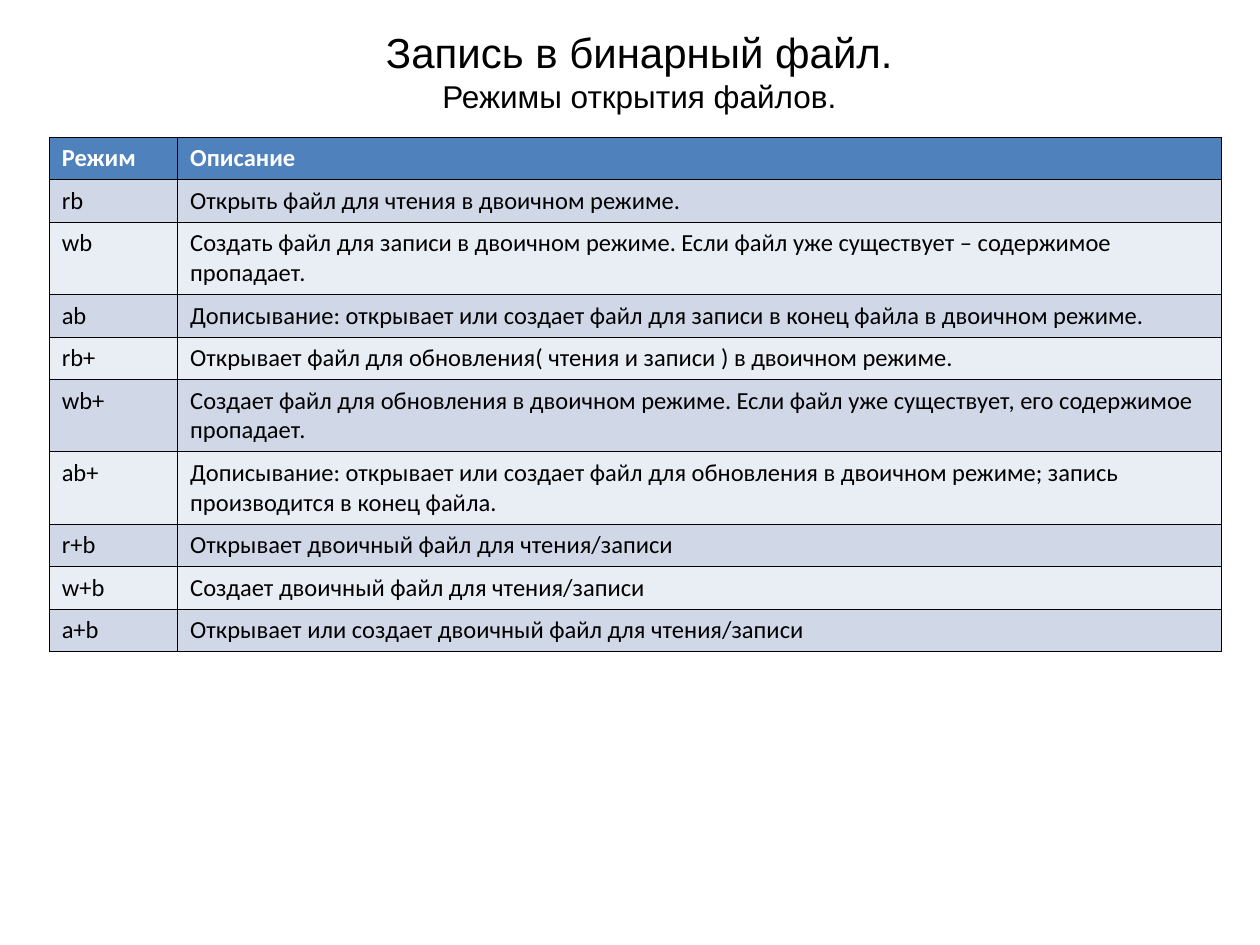
from lxml import etree
from pptx import Presentation
from pptx.dml.color import RGBColor
from pptx.enum import text
from pptx.oxml import parse_xml
from pptx.oxml.ns import nsdecls
from pptx.util import Inches, Pt

WIDE, HIGH = 10, 7.5
HUES = {"ink": "000000", "white": "FFFFFF", "head": "4F81BD",
        "odd": "D0D8E8", "even": "E9EDF4"}
COLS = [1.02, 8.28]
LINE, PAD = 0.235, 0.1
MODES = [
    ("Режим", "Описание", 1),
    ("rb", "Открыть файл для чтения в двоичном режиме.", 1),
    ("wb", "Создать файл для записи в двоичном режиме. "
           "Если файл уже существует – содержимое пропадает.", 2),
    ("ab", "Дописывание: открывает или создает файл для записи "
           "в конец файла в двоичном режиме.", 1),
    ("rb+", "Открывает файл для обновления( чтения и записи ) "
            "в двоичном режиме.", 1),
    ("wb+", "Создает файл для обновления в двоичном режиме. "
            "Если файл уже существует, его содержимое пропадает.", 2),
    ("ab+", "Дописывание: открывает или создает файл для обновления "
            "в двоичном режиме; запись производится в конец файла.", 2),
    ("r+b", "Открывает двоичный файл для чтения/записи", 1),
    ("w+b", "Создает двоичный файл для чтения/записи", 1),
    ("a+b", "Открывает или создает двоичный файл для чтения/записи", 1),
]


def color(name):
    return RGBColor.from_string(HUES[name])


def write(para, words, size=14, face="Calibri", hue="ink", bold=False,
          align=text.PP_ALIGN.LEFT):
    para.alignment = align
    run = para.add_run()
    run.text = words
    font = run.font
    font.size, font.name, font.bold = Pt(size), face, bold
    font.color.rgb = color(hue)


def title(slide):
    box = slide.shapes.title
    box.left, box.top = Inches(0.23), Inches(0.16)
    box.width, box.height = Inches(9.69), Inches(0.8)
    frame = box.text_frame
    frame.word_wrap = True
    frame.auto_size = text.MSO_AUTO_SIZE.NONE
    frame.vertical_anchor = text.MSO_ANCHOR.TOP
    style = {"face": "Arial", "align": text.PP_ALIGN.CENTER}
    write(frame.paragraphs[0], "Запись в бинарный файл.", size=24, **style)
    write(frame.add_paragraph(), "Режимы открытия файлов.", size=18, **style)


def border(cell):
    """Draw all four edges; must run before the cell's fill is set."""
    props = cell._tc.get_or_add_tcPr()
    for side in ("lnL", "lnR", "lnT", "lnB"):
        edge = parse_xml(f'<a:{side} {nsdecls("a")} w="{Pt(0.45)}"/>')
        fill = etree.SubElement(edge, edge.tag.replace(side, "solidFill"))
        etree.SubElement(fill, edge.tag.replace(side, "srgbClr"),
                         val=HUES["ink"])
        props.append(edge)


def table(slide):
    tall = [LINE * lines + PAD for _, _, lines in MODES]
    grid = slide.shapes.add_table(
        len(MODES), len(COLS), Inches(0.39), Inches(1.09),
        Inches(sum(COLS)), Inches(sum(tall))).table
    for col, width in zip(grid.columns, COLS):
        col.width = Inches(width)
    for r, (mode, about, _) in enumerate(MODES):
        grid.rows[r].height = Inches(tall[r])
        head = r == 0
        shade = "head" if head else "odd" if r % 2 else "even"
        for c, words in enumerate((mode, about)):
            cell = grid.cell(r, c)
            border(cell)
            cell.fill.solid()
            cell.fill.fore_color.rgb = color(shade)
            write(cell.text_frame.paragraphs[0], words, bold=head,
                  hue="white" if head else "ink")


def main():
    deck = Presentation()
    deck.slide_width, deck.slide_height = Inches(WIDE), Inches(HIGH)
    slide = deck.slides.add_slide(deck.slide_layouts[5])
    title(slide)
    table(slide)
    deck.save("out.pptx")


if __name__ == "__main__":
    main()
